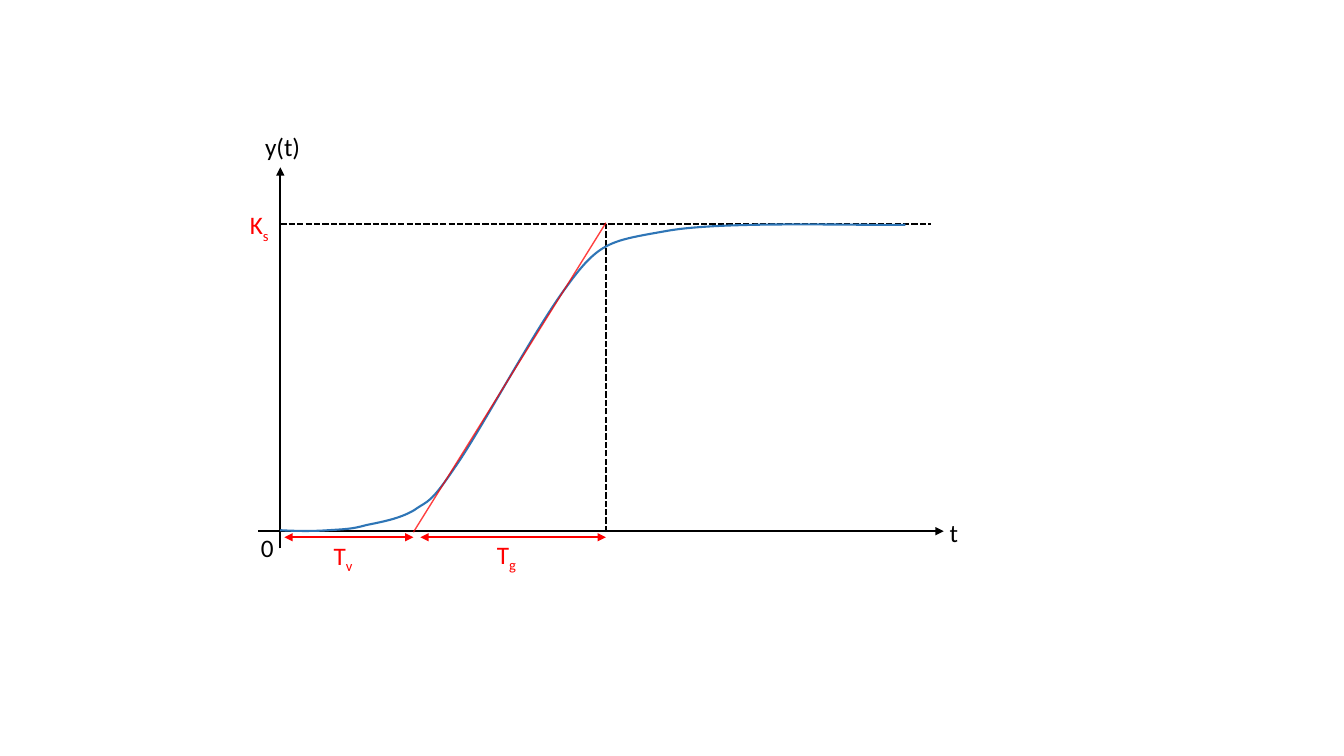
from pptx import Presentation
from pptx.dml.color import RGBColor
from pptx.enum.dml import MSO_LINE
from pptx.enum.text import MSO_AUTO_SIZE
from pptx.enum.shapes import MSO_CONNECTOR
from pptx.oxml.ns import qn
from pptx.util import Pt
from lxml import etree

PX = 9144  # 100 px to the inch
STRAIGHT = MSO_CONNECTOR.STRAIGHT
DASH = MSO_LINE.SQUARE_DOT
BLANK_LAYOUT = 6
BLACK, RED, BLUE = "000000", "FF0000", "2E75B6"

# Key positions of the step response
ORIGIN_X, AXIS_Y = 278, 527
FINAL_Y = 222
TANGENT_START, TANGENT_END = 410, 601
SPAN_Y = 533

RESPONSE_START = (278, 526)
RESPONSE_BEZIERS = [
    [(295, 527), (312, 527), (326, 526)],
    [(341, 525), (349, 525), (363, 521)],
    [(377, 518), (396, 515), (411, 506)],
    [(425, 496), (426, 501), (451, 464)],
    [(477, 427), (530, 327), (563, 283)],
    [(595, 239), (606, 239), (662, 229)],
    [(718, 219), (858, 224), (898, 223)],
]


def rgb(value):
    return RGBColor.from_string(value)


def set_all(target, values):
    for name, value in values.items():
        setattr(target, name, value)


def add_line(slide, start, end, color=BLACK, width=1.5, dash=None,
             arrows=(), alpha=None):
    """Draw a line; arrows lists the ends ("head", "tail") that get a triangle."""
    points = [value * PX for value in (*start, *end)]
    line_shape = slide.shapes.add_connector(STRAIGHT, *points)
    line = line_shape.line
    line.color.rgb = rgb(color)
    set_all(line, {"width": Pt(width), "dash_style": dash})
    properties = line_shape._element.spPr
    outline = properties.find(qn("a:ln"))
    if alpha:
        tint = next(outline.iter(qn("a:srgbClr")))
        etree.SubElement(tint, qn("a:alpha"), val=str(alpha * 1000))
    for end_name in arrows:
        etree.SubElement(outline, qn(f"a:{end_name}End"), type="triangle")
    etree.SubElement(properties, qn("a:effectLst"))


def add_curve(slide, start, beziers, color, width=1.5):
    """Draw a smooth outline through cubic Bézier segments."""
    builder = slide.shapes.build_freeform(*start, scale=PX)
    builder.add_line_segments([p for bezier in beziers for p in bezier], close=False)
    curve = builder.convert_to_shape()
    curve.shadow.inherit = False
    curve.fill.background()
    curve.line.color.rgb = rgb(color)
    curve.line.width = Pt(width)
    # Join every three straight segments into one cubic segment
    segments = list(curve._element.iter(qn("a:lnTo")))
    for first in range(0, len(segments), 3):
        cubic = etree.Element(qn("a:cubicBezTo"))
        segments[first].addprevious(cubic)
        for segment in segments[first:first + 3]:
            cubic.append(segment[0])
            segment.getparent().remove(segment)


def add_label(slide, left, top, width, text, subscript="", color=BLACK):
    box = slide.shapes.add_textbox(left * PX, top * PX, width * PX, 40 * PX)
    set_all(box.text_frame, {"word_wrap": True,
                             "auto_size": MSO_AUTO_SIZE.SHAPE_TO_FIT_TEXT})
    paragraph = box.text_frame.paragraphs[0]
    for part, baseline in ((text, None), (subscript, "-25000")):
        if not part:
            continue
        run = paragraph.add_run()
        run.text = part
        set_all(run.font, {"name": "Calibri", "size": Pt(18)})
        run.font.color.rgb = rgb(color)
        if baseline:
            run.font._element.set("baseline", baseline)


def main():
    deck = Presentation()
    set_all(deck, {"slide_width": 1333 * PX, "slide_height": 750 * PX})
    slide = deck.slides.add_slide(deck.slide_layouts[BLANK_LAYOUT])

    # Axes
    add_line(slide, (256, AXIS_Y), (936, AXIS_Y), arrows=["tail"])
    add_line(slide, (ORIGIN_X, 544), (ORIGIN_X, 166), arrows=["tail"])

    # Final value and end of the rise
    add_line(slide, (ORIGIN_X, FINAL_Y), (923, FINAL_Y), dash=DASH)
    add_line(slide, (TANGENT_END, 528), (TANGENT_END, FINAL_Y), dash=DASH)

    # Step response with its inflection tangent
    add_curve(slide, RESPONSE_START, RESPONSE_BEZIERS, BLUE)
    add_line(slide, (TANGENT_END, 221), (TANGENT_START, 528), RED, width=1,
             dash=MSO_LINE.SOLID, alpha=75)

    # Delay time and rise time
    for left, right in ((282, TANGENT_START), (417, TANGENT_END)):
        add_line(slide, (left, SPAN_Y), (right, SPAN_Y), RED,
                 arrows=["head", "tail"])

    # Parameter labels
    for left, top, symbol, index in ((321, 531, "T", "v"),
                                     (238, 203, "K", "s"),
                                     (483, 530, "T", "g")):
        add_label(slide, left, top, 44, symbol, index, RED)

    # Axis labels
    for left, top, width, text in ((249, 523, 27, "0"),
                                   (932, 508, 27, "t"),
                                   (253, 125, 58, "y(t)")):
        add_label(slide, left, top, width, text)

    deck.save("out.pptx")


if __name__ == "__main__":
    main()
